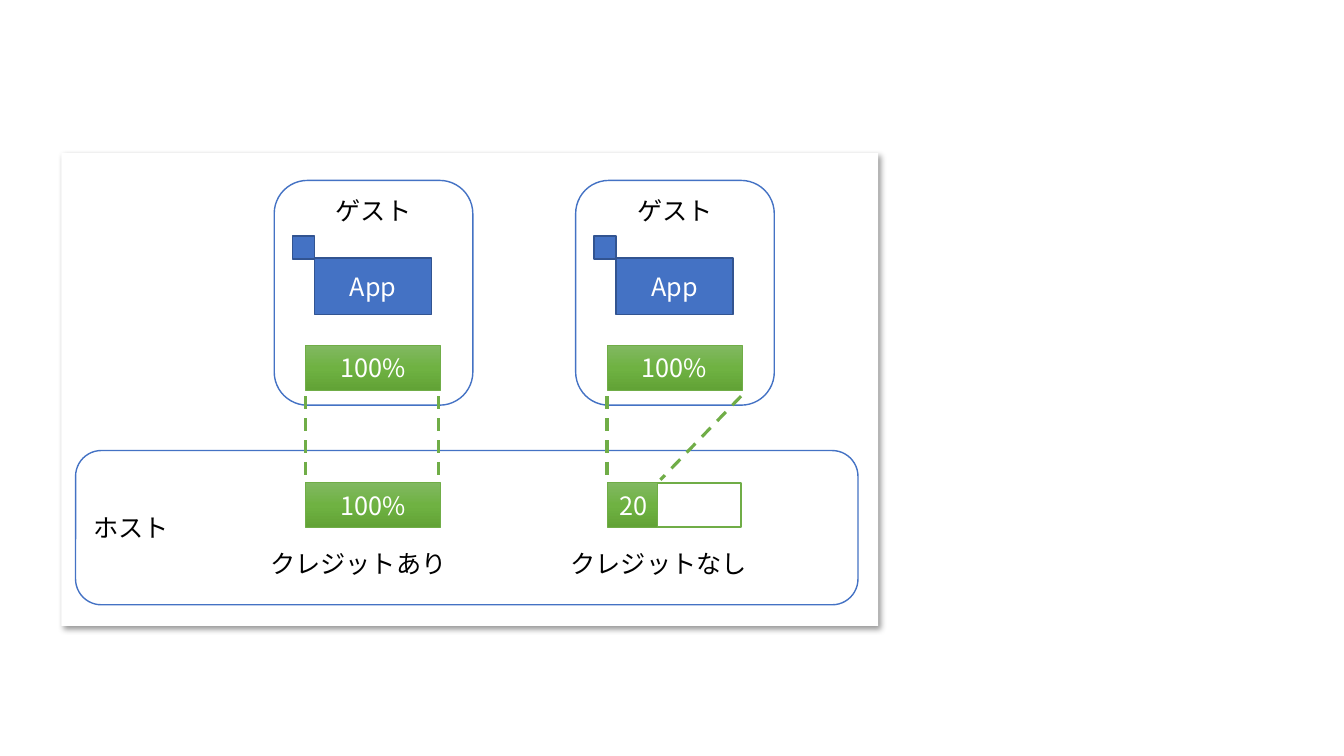
from copy import deepcopy
from lxml import etree
from pptx import Presentation
from pptx.dml.color import RGBColor
from pptx.enum import dml, shapes, text
from pptx.oxml import parse_xml
from pptx.oxml.ns import nsdecls, qn
from pptx.util import Inches, Pt

WHITE = RGBColor(0xFF, 0xFF, 0xFF)
BLACK = RGBColor(0x00, 0x00, 0x00)
BLUE = RGBColor(0x44, 0x72, 0xC4)
DARK_BLUE = RGBColor(0x32, 0x54, 0x91)
GREEN = RGBColor(0x70, 0xAD, 0x47)
GREENS = [RGBColor(0x81, 0xB8, 0x61), RGBColor(0x6F, 0xB2, 0x42), RGBColor(0x62, 0xA3, 0x36)]
FONT = "Noto Sans CJK JP"
RECT = shapes.MSO_SHAPE.RECTANGLE
ROUND = shapes.MSO_SHAPE.ROUNDED_RECTANGLE
MIDDLE = text.MSO_ANCHOR.MIDDLE

prs = Presentation()
prs.slide_width, prs.slide_height = Inches(13.33), Inches(7.5)
s = prs.slides.add_slide(prs.slide_layouts[6])


def write(sp, words, color=WHITE, align=text.PP_ALIGN.CENTER, anchor=MIDDLE):
    tf = sp.text_frame
    tf.vertical_anchor = anchor
    p = tf.paragraphs[0]
    p.alignment = align
    r = p.add_run()
    r.text = words
    r.font.size, r.font.name = Pt(18), FONT
    r.font.color.rgb = color
    etree.SubElement(r.font._element, qn("a:ea"), typeface=FONT)


def box(kind, x, y, w, h, fill=WHITE, line=None, width=1):
    sp = s.shapes.add_shape(kind, Inches(x), Inches(y), Inches(w), Inches(h))
    sp.shadow.inherit = False
    if fill is GREENS:
        sp.fill.gradient()
        sp.fill.gradient_angle = 270  # top to bottom
        stops = sp._element.spPr.find(".//" + qn("a:gsLst"))
        stops.append(deepcopy(stops[-1]))
        for stop, position, color in zip(sp.fill.gradient_stops, (0, 0.5, 1), GREENS):
            stop.position, stop.color.rgb = position, color
    else:
        sp.fill.solid()
        sp.fill.fore_color.rgb = fill
    if line is None:
        sp.line.fill.background()
    else:
        sp.line.color.rgb, sp.line.width = line, Pt(width)
    return sp


# Panel with a soft shadow
panel = box(RECT, 0.61, 1.52, 8.1, 4.69)
panel._element.spPr.find(qn("a:effectLst")).append(parse_xml(
    f'<a:outerShdw {nsdecls("a")} blurRad="50800" dist="38100" dir="2700000" algn="tl" rotWithShape="0">'
    '<a:srgbClr val="000000"><a:alpha val="40000"/></a:srgbClr></a:outerShdw>'))

# Host
host = box(ROUND, 0.75, 4.47, 7.76, 1.53, line=BLUE)
write(host, "ホスト", BLACK, text.PP_ALIGN.LEFT)

# Guests: left edge, host bar width and label, right dashed line, caption
guests = [
    (2.72, 1.34, "100%", (4.35, 3.93, 4.35, 4.75), 2.58, "クレジットあり"),
    (5.71, 0.53, "20", (7.35, 3.93, 6.55, 4.76), 5.56, "クレジットなし"),
]
for x, host_width, host_label, right_line, caption_x, caption in guests:
    guest = box(ROUND, x, 1.79, 1.97, 2.23, line=BLUE)
    write(guest, "ゲスト", BLACK, anchor=text.MSO_ANCHOR.TOP)

    # CPU share on the host and in the guest
    bar_x = x + 0.31
    for y, w, label in ((4.79, host_width, host_label), (3.43, 1.34, "100%")):
        write(box(RECT, bar_x, y, w, 0.44, GREENS, GREEN, 0.5), label)

    # Dashed lines from guest bar to host bar
    for x1, y1, x2, y2 in ((bar_x, 3.93, bar_x, 4.75), right_line):
        c = s.shapes.add_connector(shapes.MSO_CONNECTOR.STRAIGHT,
                                   Inches(x1), Inches(y1), Inches(x2), Inches(y2))
        c.line.color.rgb, c.line.width = GREEN, Pt(2.25)
        c.line.dash_style = dml.MSO_LINE.DASH
        etree.SubElement(c._element.spPr, qn("a:effectLst"))

    # App with its small tab
    write(box(RECT, x + 0.4, 2.56, 1.16, 0.56, BLUE, DARK_BLUE), "App")
    box(RECT, x + 0.18, 2.34, 0.22, 0.23, BLUE, DARK_BLUE)

    # Caption
    tb = s.shapes.add_textbox(Inches(caption_x), Inches(5.39), Inches(1.97), Inches(0.4))
    tb.text_frame.word_wrap = False
    tb.text_frame.auto_size = text.MSO_AUTO_SIZE.SHAPE_TO_FIT_TEXT
    write(tb, caption, BLACK, text.PP_ALIGN.LEFT, text.MSO_ANCHOR.TOP)

# Unused share on the host
box(RECT, 6.52, 4.79, 0.83, 0.44, line=GREEN)

prs.save("out.pptx")
